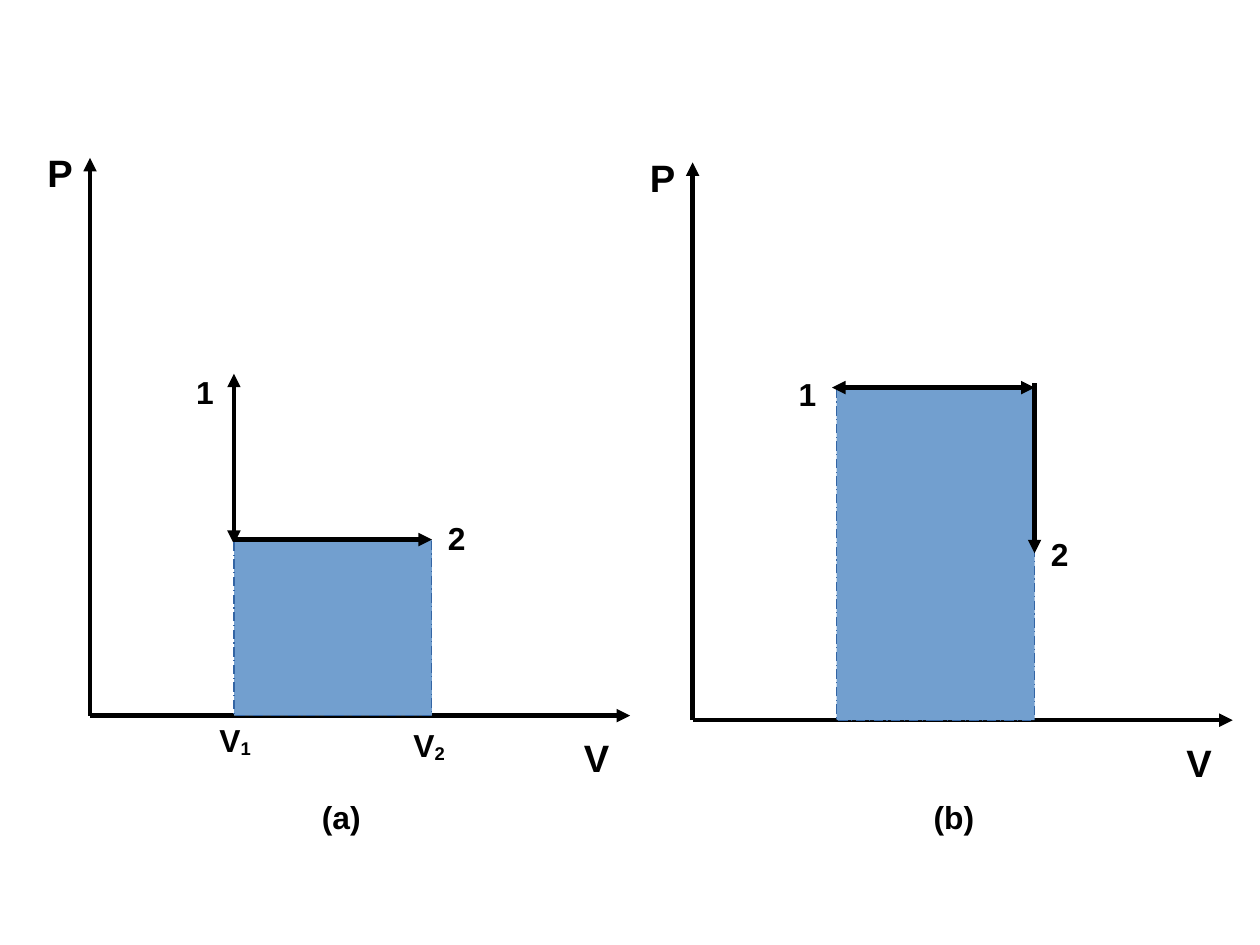
from lxml import etree
from pptx import Presentation
from pptx.dml.color import RGBColor
from pptx.enum.dml import MSO_LINE
from pptx.enum.shapes import MSO_CONNECTOR, MSO_SHAPE
from pptx.enum.text import MSO_AUTO_SIZE
from pptx.oxml.ns import qn
from pptx.util import Pt

STRAIGHT = MSO_CONNECTOR.STRAIGHT
RECTANGLE = MSO_SHAPE.RECTANGLE
DASH_DOT = MSO_LINE.LONG_DASH_DOT
FIT_TEXT = MSO_AUTO_SIZE.SHAPE_TO_FIT_TEXT

BLACK = RGBColor(0x00, 0x00, 0x00)
WORK_BLUE = RGBColor(0x72, 0x9F, 0xCF)
EDGE_BLUE = RGBColor(0x34, 0x65, 0xA4)

AXIS_WIDTH = 340.2
AXIS_HEIGHT = 351.4
VOLUME_1 = 90.7
VOLUME_2 = 215.4
VOLUME_LABEL_WIDTH = 36
CAPTION_WIDTH = 41


def add_text(slide, text, left, top, width=25.2, height=29.6, size=20, subscript=""):
    box = slide.shapes.add_textbox(Pt(left), Pt(top), Pt(width), Pt(height))
    frame = box.text_frame
    frame.word_wrap = False
    frame.auto_size = FIT_TEXT
    paragraph = frame.paragraphs[0]
    for part in filter(None, (text, subscript)):
        run = paragraph.add_run()
        run.text = part
        run.font.name = "Arial"
        run.font.size = Pt(size)
        run.font.bold = True
        run.font.color.rgb = BLACK
    if subscript:
        run.font._element.set("baseline", "-8000")


def add_arrow(slide, start, end, both_ends=False):
    arrow = slide.shapes.add_connector(STRAIGHT, *(Pt(value) for value in (*start, *end)))
    arrow.line.color.rgb = BLACK
    arrow.line.width = Pt(2.83)
    properties = arrow._element.spPr
    outline = properties.find(qn("a:ln"))
    for tag in ("a:headEnd", "a:tailEnd") if both_ends else ("a:tailEnd",):
        etree.SubElement(outline, qn(tag), type="triangle")
    etree.SubElement(properties, qn("a:effectLst"))


def add_axes(slide, left, top):
    bottom = top + AXIS_HEIGHT
    add_arrow(slide, (left, bottom), (left, top))
    add_arrow(slide, (left, bottom), (left + AXIS_WIDTH, bottom))
    add_text(slide, "V", left + 304, bottom + 8.6, 30.2, 33.8, size=24)
    add_text(slide, "P", left - 34, top - 8.6, 30.2, 33.8, size=24)


def add_work_area(slide, left, top, height):
    area = slide.shapes.add_shape(
        RECTANGLE, Pt(left + VOLUME_1), Pt(top + AXIS_HEIGHT - height),
        Pt(VOLUME_2 - VOLUME_1), Pt(height))
    area.shadow.inherit = False
    area.fill.solid()
    area.fill.fore_color.rgb = WORK_BLUE
    area.line.color.rgb = EDGE_BLUE
    area.line.width = Pt(0)
    area.line.dash_style = DASH_DOT


def add_low_pressure_panel(slide, left, top):
    bottom = top + AXIS_HEIGHT
    height = 110.9
    pressure = bottom - height
    first, second = left + VOLUME_1, left + VOLUME_2
    add_axes(slide, left, top)
    add_arrow(slide, (first, top + 136), (first, pressure + 2.8), both_ends=True)
    add_work_area(slide, left, top, height)
    add_arrow(slide, (first, pressure), (second, pressure))
    add_text(slide, "1", first - 31, top + 131.8)
    add_text(slide, "2", second + 2.9, pressure - 16.6)
    add_text(slide, "V", first - 16.2, bottom, VOLUME_LABEL_WIDTH, 36, subscript="1")
    add_text(slide, "V", second - 18.7, bottom + 2.9, VOLUME_LABEL_WIDTH, 36, subscript="2")
    add_text(slide, "(a)", left + 139, bottom + 48.2, CAPTION_WIDTH)


def add_high_pressure_panel(slide, left, top):
    bottom = top + AXIS_HEIGHT
    height = 209.5
    pressure = bottom - height
    first, second = left + VOLUME_1, left + VOLUME_2
    add_axes(slide, left, top)
    add_work_area(slide, left, top, height)
    add_arrow(slide, (second, pressure - 2.9), (second, pressure + 104.4))
    add_arrow(slide, (first - 2.9, pressure), (second, pressure), both_ends=True)
    add_text(slide, "1", first - 31, top + 130.3)
    add_text(slide, "2", second + 3.2, pressure + 89.3)
    add_text(slide, "(b)", left + 144.7, bottom + 45.3, CAPTION_WIDTH)


def main():
    """Build the slide with two pressure-volume diagrams."""
    presentation = Presentation()
    presentation.slide_width = Pt(793.7)
    presentation.slide_height = Pt(595.3)
    slide = presentation.slides.add_slide(presentation.slide_layouts[6])
    add_low_pressure_panel(slide, 56.7, 99.4)
    add_high_pressure_panel(slide, 436.3, 102.3)
    presentation.save("out.pptx")


if __name__ == "__main__":
    main()
